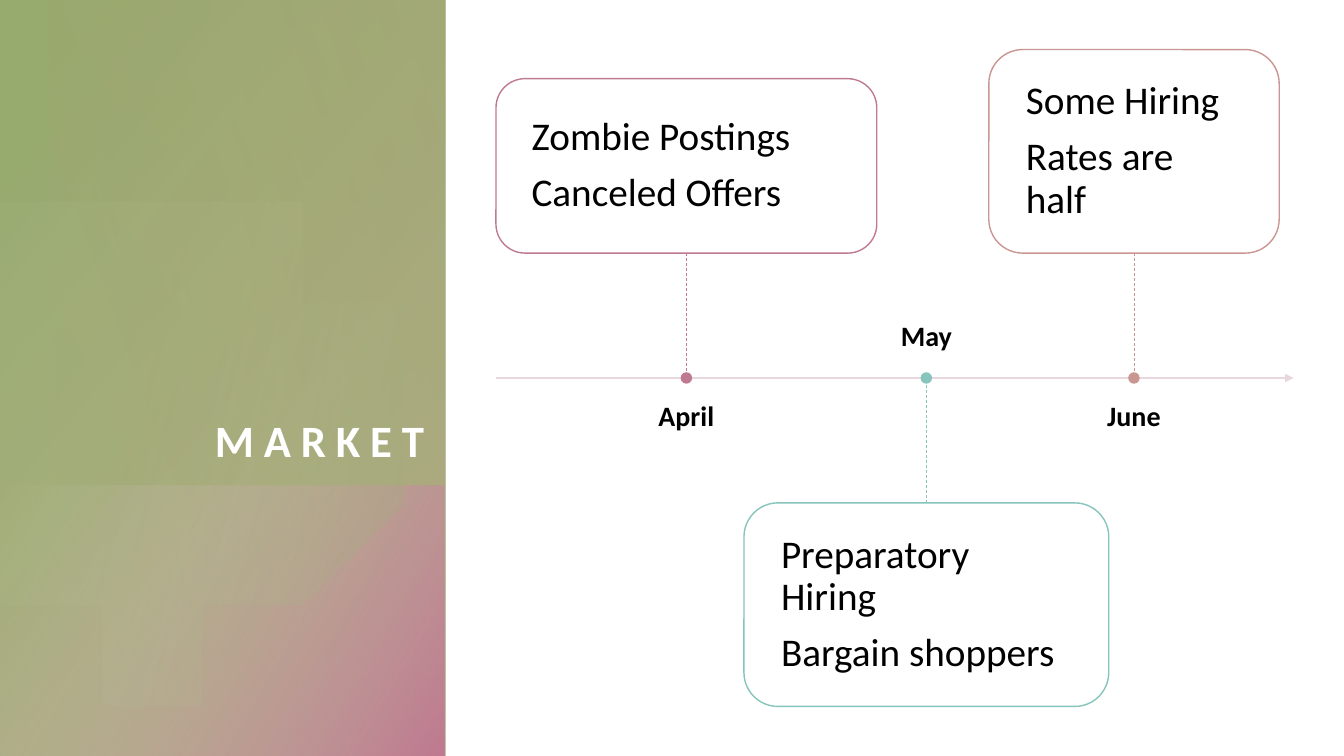
from pptx import Presentation
from pptx.dml.color import RGBColor as RGB
from pptx.enum.dml import MSO_LINE as Dash
from pptx.enum.shapes import MSO_CONNECTOR as Link, MSO_SHAPE as Kind
from pptx.enum.text import MSO_ANCHOR as Anchor, PP_ALIGN as Align
from pptx.oxml import parse_xml
from pptx.oxml.ns import qn
from pptx.util import Pt
from lxml import etree

HUES = {
    "rose": "BF7A91", "teal": "86C4BC", "clay": "CA9692", "axis": "E8D7DC",
    "green": "97AB6E", "olive": "A9A57A", "tan": "BF9C7A", "sand": "CBC9AF",
    "mint": "C1CDA8", "white": "FFFFFF", "black": "000000",
}
C = {name: RGB.from_string(code) for name, code in HUES.items()}
NS = "http://schemas.openxmlformats.org/drawingml/2006/main"


def blend(shape, stops, angle):
    """Gradient fill from (position, hue, opacity) stops, without outline."""
    shape.shadow.inherit = False
    shape.line.fill.background()
    shape.fill.background()
    marks = "".join(
        f'<a:gs pos="{pos * 1000}"><a:srgbClr val="{HUES[hue]}">'
        f'<a:alpha val="{alpha * 1000}"/></a:srgbClr></a:gs>'
        for pos, hue, alpha in stops)
    grad = parse_xml(
        f'<a:gradFill xmlns:a="{NS}" rotWithShape="1"><a:gsLst>{marks}</a:gsLst>'
        f'<a:lin ang="{angle * 60000}" scaled="0"/></a:gradFill>')
    props = shape._element.spPr
    props.replace(props.find(qn("a:noFill")), grad)


def write(shape, lines, size, hue, anchor, align, pad=0, bold=False):
    """Fill a shape's text frame with one paragraph per line."""
    frame = shape.text_frame
    form = {"word_wrap": True, "vertical_anchor": anchor}
    form.update({f"margin_{side}": Pt(pad) for side in ("left", "top", "right", "bottom")})
    for key, value in form.items():
        setattr(frame, key, value)
    frame.text = "\n".join(lines)
    for par in frame.paragraphs:
        look = {"alignment": align, "line_spacing": 0.9, "space_after": Pt(0.35 * size)}
        for key, value in look.items():
            setattr(par, key, value)
        font = par.runs[0].font
        for key, value in {"name": "Calibri", "size": Pt(size), "bold": bold}.items():
            setattr(font, key, value)
        font.color.rgb = C[hue]


deck = Presentation()
deck.slide_width, deck.slide_height = Pt(960), Pt(540)
slide = deck.slides.add_slide(deck.slide_layouts[6])
shapes = slide.shapes

# Side panel: turned rectangles, with a disc below the last one
panels = [
    (-111, 111, 540, 318, 270, 50, [(8, "green", 100), (100, "olive", 89)]),
    (62, 284.5, 193.5, 318, 270, 60, [(0, "sand", 0), (99, "rose", 100)]),
    (3.6, 32.4, 346.3, 282.2, 90, 110, [(0, "olive", 29), (100, "tan", 0)]),
]
for left, top, width, height, turn, angle, stops in panels:
    if turn == 90:
        # Disc outline in inches: start, then curves of two handles and an end
        start = (1.64, 1.96)
        curves = [
            ((2.61, 1.98), (3.5, 2.63), (3.78, 3.62)),
            ((4.13, 4.83), (3.43, 6.1), (2.22, 6.44)),
            ((1.46, 6.66), (0.68, 6.47), (0.12, 6)),
            ((0, 5.89), (0, 5.89), (0, 5.89)),
            ((0, 2.61), (0, 2.61), (0, 2.61)),
            ((0.15, 2.47), (0.15, 2.47), (0.15, 2.47)),
            ((0.38, 2.29), (0.65, 2.14), (0.95, 2.05)),
            ((1.18, 1.99), (1.41, 1.96), (1.64, 1.96)),
        ]
        dots, here = [], start
        for one, two, end in curves:
            steps = 1 if one == end else 24
            for t in (n / steps for n in range(1, steps + 1)):
                dots.append(tuple(
                    a * (1 - t) ** 3 + 3 * b * t * (1 - t) ** 2 + 3 * c * t * t * (1 - t) + d * t ** 3
                    for a, b, c, d in zip(here, one, two, end)))
            here = end
        pen = shapes.build_freeform(*start, scale=Pt(72))
        pen.add_line_segments(dots, close=True)
        blend(pen.convert_to_shape(), [(36, "mint", 6), (100, "green", 26)], 14)
    panel = shapes.add_shape(Kind.RECTANGLE, Pt(left), Pt(top), Pt(width), Pt(height))
    panel.rotation = turn
    panel._element.spPr.find(qn("a:xfrm")).set("flipH", "1")
    blend(panel, stops, angle)

# Title
title = shapes.add_textbox(Pt(36), Pt(68.4), Pt(267), Pt(265))
write(title, ["MARKET"], 32, "white", Anchor.BOTTOM, Align.RIGHT, bold=True)
par = title.text_frame.paragraphs[0]
par.line_spacing, par.space_after = 1.0, Pt(0)
par.runs[0].font._element.set("spc", "700")

# Time axis
MID = 270
axis = shapes.add_connector(Link.STRAIGHT, Pt(354.4), Pt(MID), Pt(924), Pt(MID))
axis.line.color.rgb, axis.line.width = C["axis"], Pt(1)
etree.SubElement(axis.line._get_or_add_ln(), qn("a:tailEnd"), type="triangle")
etree.SubElement(axis._element.spPr, qn("a:effectLst"))

# Months: card, link to the axis, dot and label on the other side
months = [
    ("April", ["Zombie Postings", "Canceled Offers"], "rose", 490.3, 56.2, 272, 124.6),
    ("May", ["Preparatory Hiring", "Bargain shoppers"], "teal", 661.7, 359.2, 260.6, 145.4),
    ("June", ["Some Hiring", "Rates are half"], "clay", 810, 35.4, 207.4, 145.4),
]
DOT = 7.2
for month, lines, hue, mid, top, width, height in months:
    above = top < MID
    card = shapes.add_shape(
        Kind.ROUNDED_RECTANGLE, Pt(mid - width / 2), Pt(top), Pt(width), Pt(height))
    write(card, lines, 28, "black", Anchor.MIDDLE, Align.LEFT, pad=19.4)

    link = shapes.add_connector(Link.STRAIGHT, Pt(mid), Pt(top), Pt(mid), Pt(MID))
    link.begin_connect(card, 2 if above else 0)
    link.line.dash_style = Dash.DASH
    etree.SubElement(link._element.spPr, qn("a:effectLst"))

    dot = shapes.add_shape(Kind.OVAL, Pt(mid - DOT / 2), Pt(MID - DOT / 2), Pt(DOT), Pt(DOT))
    for shape, fill in ((card, "white"), (dot, hue)):
        shape.shadow.inherit = False
        shape.fill.solid()
        shape.fill.fore_color.rgb = C[fill]
    for shape, weight in ((card, 1), (link, 0.5), (dot, 1)):
        shape.line.color.rgb, shape.line.width = C[hue], Pt(weight)

    label = shapes.add_textbox(Pt(mid - 100), Pt(287.3 if above else 199.4), Pt(200), Pt(52.6))
    write(label, [month], 20, "black", Anchor.TOP if above else Anchor.BOTTOM,
          Align.CENTER, bold=True)

deck.save("out.pptx")
